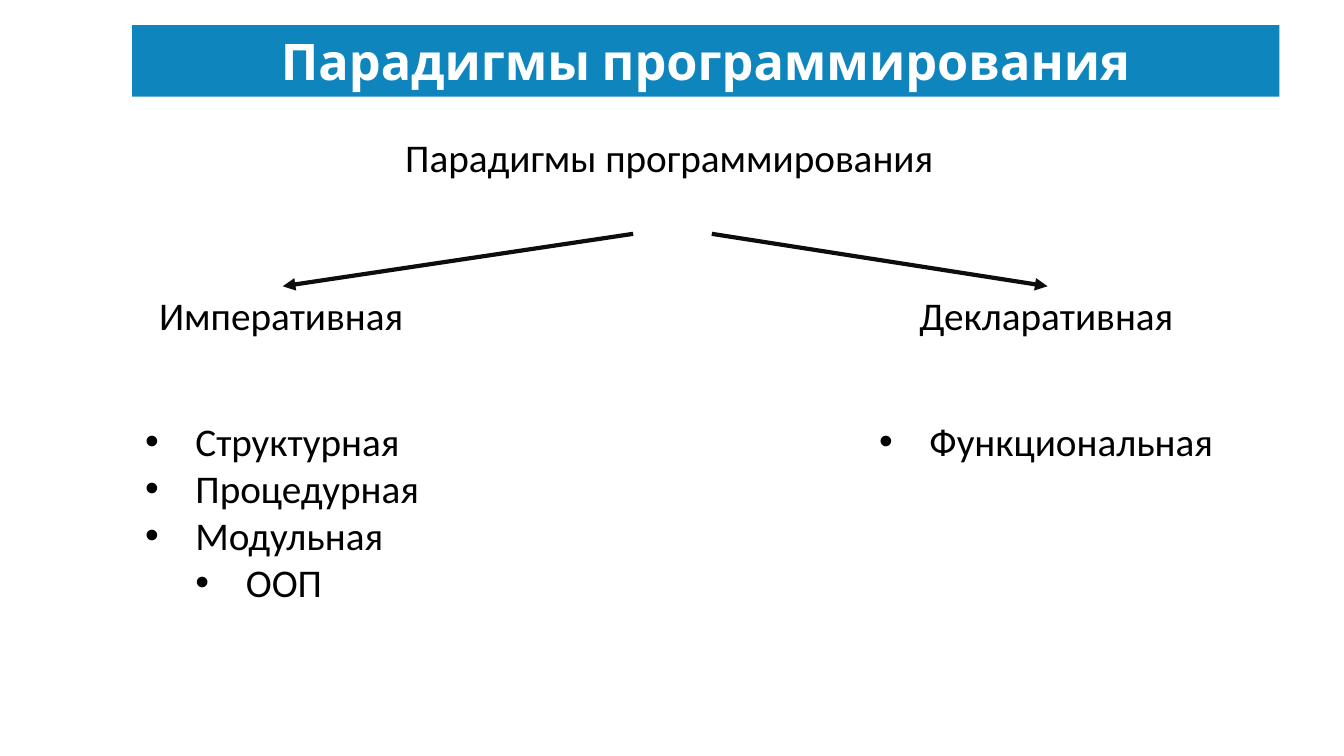
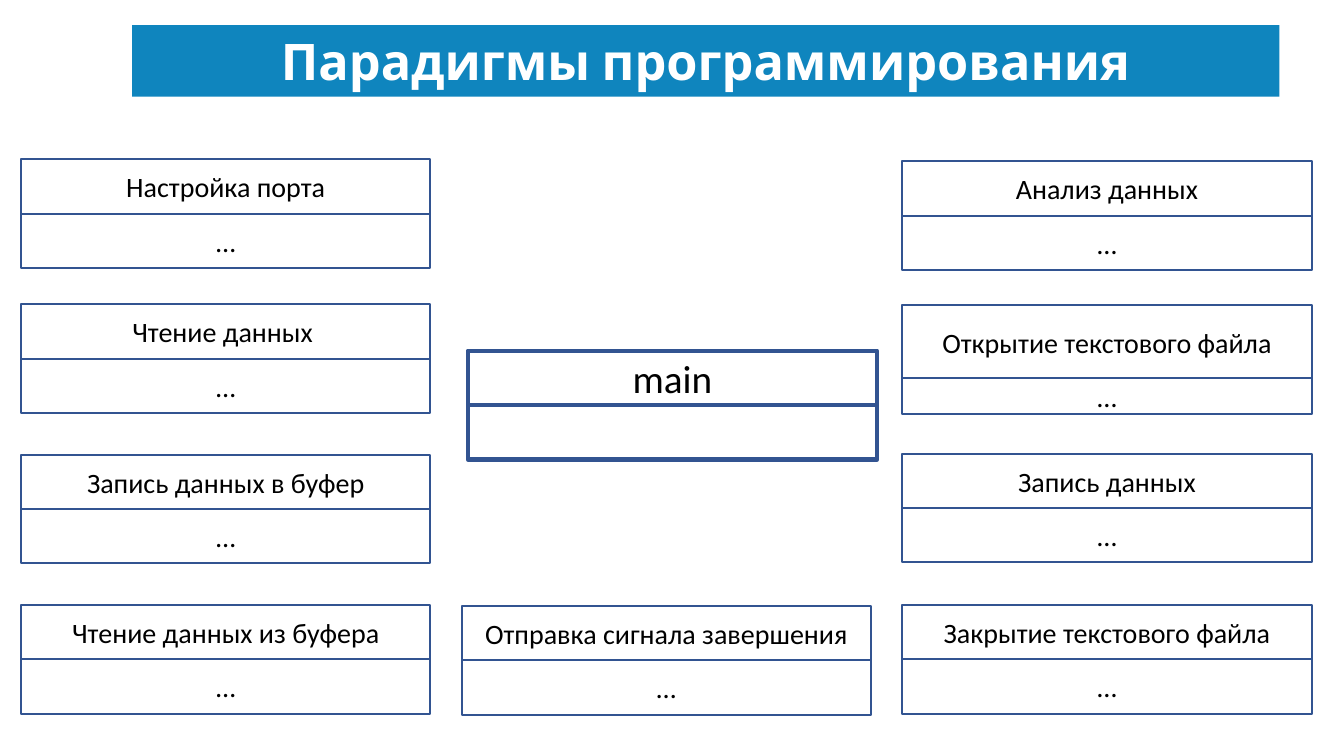
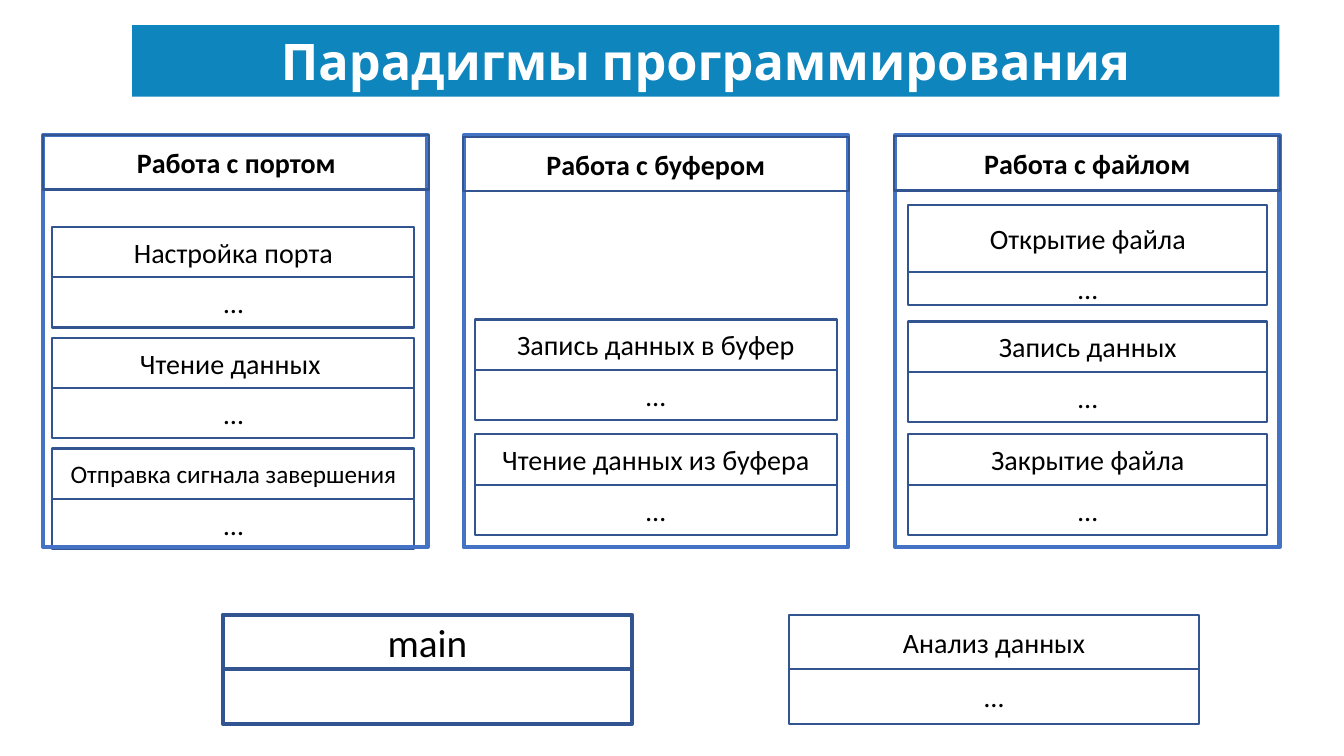
from lxml.etree import SubElement
from pptx import Presentation
from pptx.dml.color import RGBColor
from pptx.enum.shapes import MSO_CONNECTOR, MSO_SHAPE
from pptx.enum.text import MSO_ANCHOR, MSO_AUTO_SIZE, PP_ALIGN
from pptx.oxml.ns import qn
from pptx.util import Inches, Pt

TITLE_BLUE = RGBColor(0x0F, 0x85, 0xBE)
CARD_BLUE = RGBColor(0x32, 0x54, 0x91)
FRAME_BLUE = RGBColor(0x44, 0x72, 0xC4)
ARROW_BLACK = RGBColor(0x0D, 0x0D, 0x0D)
WHITE = RGBColor(0xFF, 0xFF, 0xFF)
BLACK = RGBColor(0x00, 0x00, 0x00)

TITLE = "Парадигмы программирования"
TITLE_FONT = "Cabin"
BODY_FONT = "Calibri"
TITLE_ONLY = 5

CARD_WIDTH = 4.06
CARD_HEIGHT = 1.08
SMALL_CARD_HEIGHT = 1.0
TALL_HEADER = 0.67
HEADING_HEIGHT = 0.54
FRAME_TOP = 1.34
FRAME_WIDTH = 3.81
FRAME_HEIGHT = 4.09


def add_text(paragraph, text, size, bold=False, font=BODY_FONT, color=BLACK):
    run = paragraph.add_run()
    run.text = text
    run.font.name = font
    run.font.size = Pt(size)
    run.font.bold = bold
    run.font.color.rgb = color


def add_titled_slide(presentation):
    slide = presentation.slides.add_slide(presentation.slide_layouts[TITLE_ONLY])
    title = slide.shapes.title
    title.left, title.top = Inches(1.31), Inches(0.25)
    title.width, title.height = Inches(11.38), Inches(0.71)
    title.fill.solid()
    title.fill.fore_color.rgb = TITLE_BLUE
    frame = title.text_frame
    frame.auto_size = MSO_AUTO_SIZE.NONE
    frame.vertical_anchor = MSO_ANCHOR.TOP
    paragraph = frame.paragraphs[0]
    paragraph.alignment = PP_ALIGN.CENTER
    add_text(paragraph, TITLE, 36, True, TITLE_FONT, WHITE)
    return slide


def add_text_box(slide, left, top, width, height):
    box = slide.shapes.add_textbox(
        Inches(left), Inches(top), Inches(width), Inches(height))
    box.text_frame.word_wrap = False
    box.text_frame.auto_size = MSO_AUTO_SIZE.SHAPE_TO_FIT_TEXT
    return box


def add_label(slide, text, left, top, width, height):
    box = add_text_box(slide, left, top, width, height)
    add_text(box.text_frame.paragraphs[0], text, 28)
    return box


def add_bullets(slide, items, left, top, width, height):
    frame = add_text_box(slide, left, top, width, height).text_frame
    for index, (text, level) in enumerate(items):
        paragraph = frame.add_paragraph() if index else frame.paragraphs[0]
        paragraph.level = level
        properties = paragraph._p.get_or_add_pPr()
        properties.set("marL", str(Inches(0.5 * (level + 1))))
        properties.set("indent", str(Inches(-0.5)))
        SubElement(properties, qn("a:buFont"), typeface="Arial")
        SubElement(properties, qn("a:buChar"), char="•")
        add_text(paragraph, text, 28)


def add_arrow(slide, left, top, target):
    arrow = slide.shapes.add_connector(
        MSO_CONNECTOR.STRAIGHT, Inches(left), Inches(top), target.left, target.top)
    arrow.end_connect(target, 0)
    arrow.line.color.rgb = ARROW_BLACK
    arrow.line.width = Pt(3)
    properties = arrow._element.spPr
    SubElement(properties.find(qn("a:ln")), qn("a:tailEnd"), type="triangle")
    SubElement(properties, qn("a:effectLst"))


def add_box(shapes, left, top, width, height, text="", size=20, bold=False,
            line_width=1.5, line_color=CARD_BLUE):
    shape = shapes.add_shape(
        MSO_SHAPE.RECTANGLE, Inches(left), Inches(top), Inches(width), Inches(height))
    shape.shadow.inherit = False
    shape.fill.background()
    shape.line.color.rgb = line_color
    shape.line.width = Pt(line_width)
    if text:
        shape.text_frame.vertical_anchor = MSO_ANCHOR.MIDDLE
        paragraph = shape.text_frame.paragraphs[0]
        paragraph.alignment = PP_ALIGN.CENTER
        add_text(paragraph, text, size, bold)


def add_card(slide, name, left, top, width=CARD_WIDTH, height=CARD_HEIGHT,
             header_share=0.5, body="…", size=20, line_width=1.5):
    shapes = slide.shapes.add_group_shape().shapes
    header = height * header_share
    add_box(shapes, left, top + header, width, height - header, body,
            line_width=line_width)
    add_box(shapes, left, top, width, header, name, size, line_width=line_width)


def add_main_card(slide, left, top):
    add_card(slide, "main", left, top, body="", size=28, line_width=3)


def add_module(slide, heading, frame_left, heading_left, heading_top,
               card_left, card_width, cards):
    for name, top, header_share, size in cards:
        add_card(slide, name, card_left, top, card_width, SMALL_CARD_HEIGHT,
                 header_share, size=size)
    add_box(slide.shapes, frame_left, FRAME_TOP, FRAME_WIDTH, FRAME_HEIGHT,
            line_width=3, line_color=FRAME_BLUE)
    add_box(slide.shapes, heading_left, heading_top, 3.83, HEADING_HEIGHT,
            heading, bold=True)


def build_paradigm_tree(presentation):
    slide = add_titled_slide(presentation)
    add_label(slide, TITLE, 3.92, 1.27, 5.49, 1.04)
    imperative = add_label(slide, "Императивная", 1.48, 2.84, 2.65, 0.57)
    declarative = add_label(slide, "Декларативная", 9.02, 2.84, 2.74, 0.57)
    add_arrow(slide, 6.28, 2.32, imperative)
    add_arrow(slide, 7.06, 2.32, declarative)
    add_bullets(slide, [("Структурная", 0), ("Процедурная", 0),
                        ("Модульная", 0), ("ООП", 1)], 1.34, 4.09, 2.95, 1.99)
    add_bullets(slide, [("Функциональная", 0)], 8.62, 4.09, 3.55, 0.57)


def build_procedures(presentation):
    slide = add_titled_slide(presentation)
    add_main_card(slide, 4.64, 3.48)
    for name, left, top, header_share in [
        ("Настройка порта", 0.21, 1.58, 0.5),
        ("Чтение данных ", 0.21, 3.02, 0.5),
        ("Запись данных в буфер", 0.21, 4.51, 0.5),
        ("Чтение данных из буфера", 0.21, 6, 0.5),
        ("Анализ данных", 8.95, 1.6, 0.5),
        ("Открытие текстового файла", 8.95, 3.03, TALL_HEADER),
        ("Запись данных", 8.95, 4.5, 0.5),
        ("Закрытие текстового файла", 8.95, 6, 0.5),
        ("Отправка сигнала завершения", 4.58, 6.01, 0.5),
    ]:
        add_card(slide, name, left, top, header_share=header_share)


def build_modules(presentation):
    slide = add_titled_slide(presentation)
    add_main_card(slide, 2.21, 6.1)
    add_card(slide, "Анализ данных", 7.83, 6.1)
    add_module(slide, "Работа с портом", 0.43, 0.43, 1.34, 0.52, 3.59, [
        ("Настройка порта", 2.25, 0.5, 20),
        ("Чтение данных ", 3.35, 0.5, 20),
        ("Отправка сигнала завершения", 4.45, 0.5, 18),
    ])
    add_module(slide, "Работа с буфером", 4.6, 4.59, 1.36, 4.71, 3.59, [
        ("Запись данных в буфер", 3.17, 0.5, 20),
        ("Чтение данных из буфера", 4.31, 0.5, 20),
    ])
    add_module(slide, "Работа с файлом", 8.88, 8.87, 1.35, 9.01, 3.56, [
        ("Открытие файла", 2.03, TALL_HEADER, 20),
        ("Запись данных", 3.19, 0.5, 20),
        ("Закрытие файла", 4.31, 0.5, 20),
    ])


def main():
    presentation = Presentation()
    presentation.slide_width = Inches(13.33)
    presentation.slide_height = Inches(7.5)
    build_paradigm_tree(presentation)
    build_procedures(presentation)
    build_modules(presentation)
    presentation.save("out.pptx")


if __name__ == "__main__":
    main()
